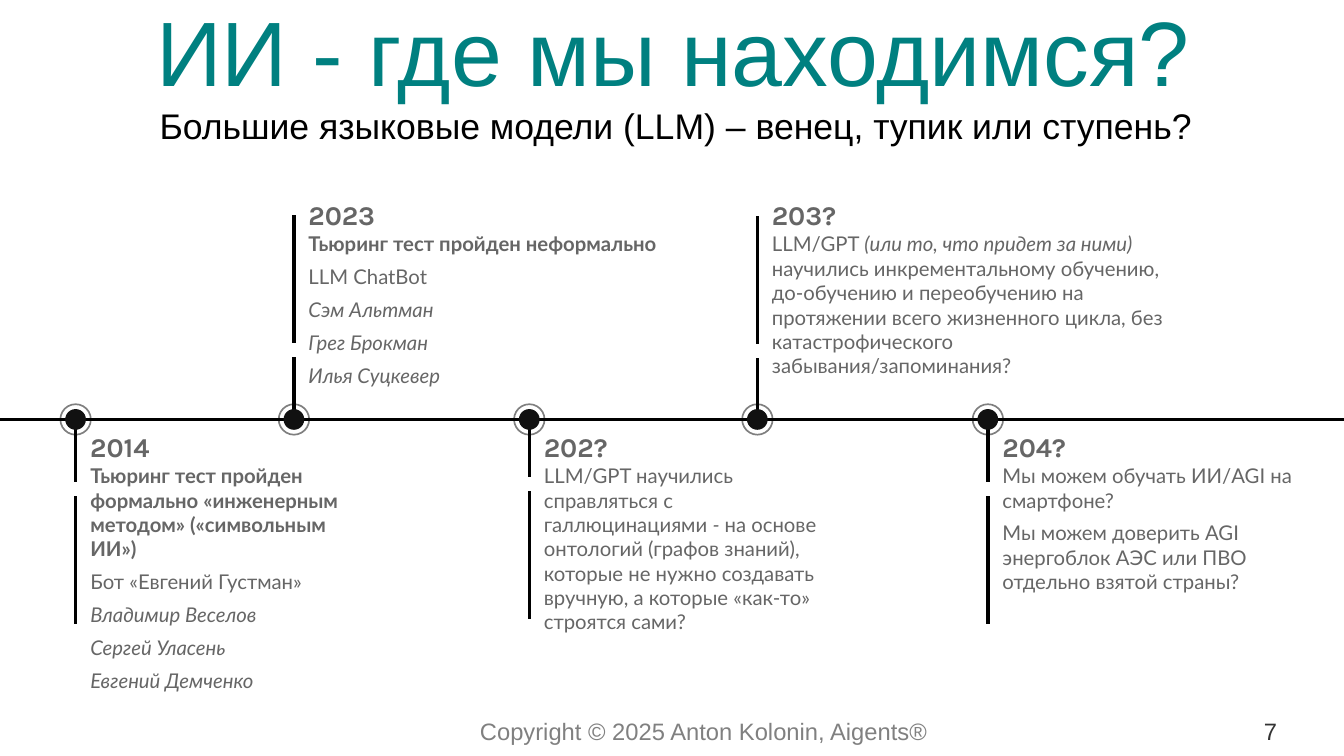
from pptx import Presentation
from pptx.dml.color import RGBColor
from pptx.enum.shapes import MSO_CONNECTOR, MSO_SHAPE
from pptx.enum.text import MSO_ANCHOR, PP_ALIGN
from pptx.oxml.ns import qn
from pptx.util import Inches, Pt
from lxml import etree

STRAIGHT = MSO_CONNECTOR.STRAIGHT
OVAL = MSO_SHAPE.OVAL
TOP, MIDDLE = MSO_ANCHOR.TOP, MSO_ANCHOR.MIDDLE
LEFT, CENTER, RIGHT = PP_ALIGN.LEFT, PP_ALIGN.CENTER, PP_ALIGN.RIGHT

TEAL = RGBColor(0x00, 0x80, 0x80)
BLACK = RGBColor(0x00, 0x00, 0x00)
DOT = RGBColor(0x11, 0x11, 0x11)
DARK = RGBColor(0x33, 0x33, 0x33)
GRAY = RGBColor(0x66, 0x66, 0x66)
LIGHT = RGBColor(0x80, 0x80, 0x80)

AXIS_Y = 3.44
TEXT_GAP = 0.12
ABOVE, BELOW = -1, 1

# Stem x, stem start, side, year, text width, paragraphs of (text, style) runs
EVENTS = [
    (0.62, 3.49, BELOW, "2014", 2.35, [
        [("Тьюринг тест пройден формально «инженерным методом» («символьным ИИ»)", "b")],
        [("Бот «Евгений Густман»", "")],
        [("Владимир Веселов", "i")],
        [("Сергей Уласень", "i")],
        [("Евгений Демченко", "i")]]),
    (2.41, 3.39, ABOVE, "2023", 2.96, [
        [("Тьюринг тест пройден неформально", "b")],
        [("LLM ChatBot", "")],
        [("Сэм Альтман", "i")],
        [("Грег Брокман", "i")],
        [("Илья Суцкевер", "i")]]),
    (4.34, 3.45, BELOW, "202?", 2.39, [
        [("LLM/GPT научились справляться с галлюцинациями ", ""),
         ("- ", "i"),
         ("на основе онтологий (графов знаний), которые не нужно создавать "
          "вручную, а которые «как-то» строятся сами?", "")]]),
    (6.21, 3.40, ABOVE, "203?", 3.4, [
        [("LLM/GPT ", ""),
         ("(или то, что придет за ними) ", "i"),
         ("научились инкрементальному обучению, до-обучению и переобучению на "
          "протяжении всего жизненного цикла, без катастрофического "
          "забывания/запоминания?", "")]]),
    (8.10, 3.49, BELOW, "204?", 2.56, [
        [("Мы можем обучать ИИ/AGI на смартфоне?", "")],
        [("Мы можем доверить AGI энергоблок АЭС или ПВО отдельно взятой страны?", "")]]),
]


class Timeline:
    def __init__(self, slide):
        self.s = slide

    def text(self, x, y, w, h, paragraphs, size, font, color, align=LEFT,
             anchor=TOP, inset=(0, 0), wrap=True, after=0, spacing=None):
        tf = self.s.shapes.add_textbox(Inches(x), Inches(y), Inches(w), Inches(h)).text_frame
        tf.word_wrap = wrap
        tf.vertical_anchor = anchor
        tf.margin_left = tf.margin_right = Inches(inset[0])
        tf.margin_top = tf.margin_bottom = Inches(inset[1])
        for i, runs in enumerate(paragraphs):
            p = tf.add_paragraph() if i else tf.paragraphs[0]
            p.alignment = align
            p.space_after = Pt(after)
            if spacing:
                p.line_spacing = Pt(spacing)
            for text, style in runs:
                r = p.add_run()
                r.text = text
                r.font.size, r.font.name = Pt(size), font
                r.font.color.rgb = color
                r.font.bold, r.font.italic = style == "b", style == "i"

    def line(self, x1, y1, x2, y2):
        c = self.s.shapes.add_connector(STRAIGHT, Inches(x1), Inches(y1), Inches(x2), Inches(y2))
        c.line.color.rgb = BLACK
        c.line.width = Pt(2)
        etree.SubElement(c.element.spPr, qn("a:effectLst"))

    def circle(self, x, y, size):
        sp = self.s.shapes.add_shape(OVAL, Inches(x - size / 2), Inches(y - size / 2),
                                     Inches(size), Inches(size))
        sp.shadow.inherit = False
        return sp

    def marker(self, x):
        ring = self.circle(x, AXIS_Y, 0.25)
        ring.fill.background()
        ring.line.color.rgb = BLACK
        ring.line.width = Pt(1)
        color = ring.line.fill._xPr.find(".//" + qn("a:srgbClr"))
        etree.SubElement(color, qn("a:alpha"), val="50000")
        dot = self.circle(x, AXIS_Y, 0.17)
        dot.fill.solid()
        dot.fill.fore_color.rgb = DOT
        dot.line.fill.background()

    def event(self, x, start, side, year, width, paragraphs):
        for near, far in ((0, 0.46), (0.58, 1.63)):
            self.line(x, start + side * near, x, start + side * far)
        self.marker(x)
        left, top = x + TEXT_GAP, 3.46 if side == BELOW else 1.56
        self.text(left, top, 1.44, 0.24, [[(year, "b")]], 16, "Karla", GRAY, spacing=24.2)
        self.text(left, top + 0.34, width, 0.6, paragraphs, 12, "Lato", GRAY, after=5)


def main():
    prs = Presentation()
    prs.slide_width, prs.slide_height = Inches(11.02), Inches(6.2)
    t = Timeline(prs.slides.add_slide(prs.slide_layouts[6]))

    # Title and subtitle
    t.text(-0.04, -0.06, 11.12, 0.94, [[("ИИ - где мы находимся?", "")]], 54, "Arial", TEAL,
           CENTER, MIDDLE, (0.1, 0.05), False)
    t.text(1.21, 0.8, 8.67, 0.42,
           [[("Большие языковые модели (LLM) – венец, тупик или ступень?", "")]],
           21, "Arial", BLACK, inset=(0.1, 0.05), wrap=False)

    # Timeline
    t.line(-0.02, AXIS_Y, 11.02, AXIS_Y)
    for event in EVENTS:
        t.event(*event)

    # Footer
    t.text(2.38, 5.88, 6.78, 0.2, [[("Copyright © 2025 Anton Kolonin, Aigents®", "")]],
           14, "Arial", LIGHT, CENTER)
    t.text(9.65, 5.88, 0.82, 0.2, [[("7", "")]], 14, "Arial", DARK, RIGHT)

    prs.save("out.pptx")


if __name__ == "__main__":
    main()
